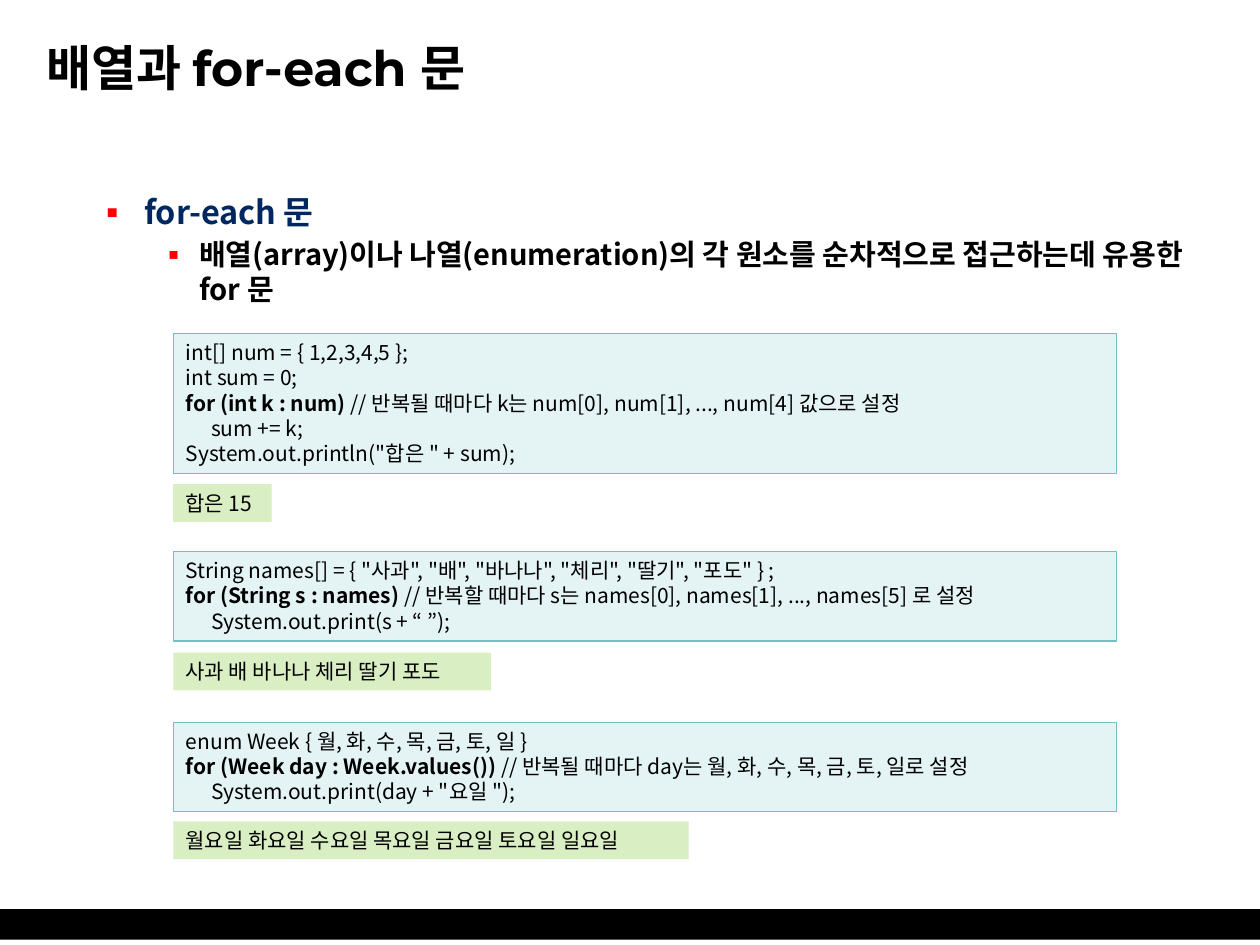
from lxml import etree
from pptx import Presentation
from pptx import util as u
from pptx.dml import color
from pptx.enum import shapes, text
from pptx.oxml import ns

Pt = u.Pt


def rgb(code):
    return color.RGBColor.from_string(code)


def add(parent, tag, **attrs):
    return etree.SubElement(parent, ns.qn(tag), attrs)


class Deck:
    sans = "Noto Sans CJK KR"
    head = "Montserrat"
    ink = "000000"

    def __init__(self, wide, high):
        self.prs = Presentation()
        self.prs.slide_width, self.prs.slide_height = Pt(wide), Pt(high)
        self.slide = self.prs.slides.add_slide(self.prs.slide_layouts[6])

    def style(self, run, size, bold=False, ink=None, face=None):
        font = run.font
        font.size, font.bold = Pt(size), bold
        font.name = face or self.sans
        font.color.rgb = rgb(ink or self.ink)
        add(font._element, "a:ea", typeface=self.sans)

    def box(self, left, top, wide, high, fill, line=None):
        box = self.slide.shapes.add_shape(
            shapes.MSO_SHAPE.RECTANGLE, Pt(left), Pt(top), Pt(wide), Pt(high))
        box.shadow.inherit = False
        box.fill.solid()
        box.fill.fore_color.rgb = rgb(fill)
        if line:
            box.line.color.rgb = rgb(line)
            box.line.width = Pt(0.75)
        else:
            box.line.fill.background()
        return box

    def frame(self, left, top, wide, high):
        frame = self.slide.shapes.add_textbox(
            Pt(left), Pt(top), Pt(wide), Pt(high)).text_frame
        frame.word_wrap = True
        return frame

    def title(self, words, *area):
        frame = self.frame(*area)
        frame.vertical_anchor = text.MSO_ANCHOR.MIDDLE
        frame.text = words
        self.style(frame.paragraphs[0].runs[0], 28, True, face=self.head)

    def points(self, items, *area):
        frame = self.frame(*area)
        frame.text = "\n".join(item[0] for item in items)
        for para, (_, size, ink, left, hang, gap) in zip(frame.paragraphs, items):
            para.line_spacing = Pt(round(size * 1.2, 1))
            para.space_before = Pt(gap)
            props = para._p.get_or_add_pPr()
            props.set("marL", str(Pt(left)))
            props.set("indent", str(Pt(-hang)))
            add(add(props, "a:buClr"), "a:srgbClr", val="FF0000")
            add(props, "a:buFont", typeface=self.sans)
            add(props, "a:buChar", char="▪")
            self.style(para.runs[0], size, True, ink)

    def lines(self, box, rows):
        frame = box.text_frame
        frame.word_wrap = True
        frame.margin_right = 0
        frame.vertical_anchor = text.MSO_ANCHOR.TOP
        frame.text = "\n".join(rows)
        for para, row in zip(frame.paragraphs, rows):
            para.alignment = text.PP_ALIGN.LEFT
            para.line_spacing = Pt(14.4)
            tabs = add(para._p.get_or_add_pPr(), "a:tabLst")
            add(tabs, "a:tab", pos=str(Pt(14.4)), algn="l")
            code, mark, note = row.partition("//")
            if mark:
                para.runs[0].text = code
                para.add_run().text = mark + note
            for run in para.runs:
                self.style(run, 12, run.text.startswith("for"))

    def sample(self, top, rows, out, drop, wide):
        code = self.box(99.2, top, 538.8, 14.4 * len(rows) + 8, "E4F3F4", "72BFC5")
        self.lines(code, rows)
        self.lines(self.box(99, drop, wide, 21.6, "DAEEC4"), [out])


deck = Deck(720, 540)
deck.box(0, 519.6, 720, 17.4, deck.ink)
deck.title("배열과 for-each 문", 19.5, 9.5, 680.5, 57)
deck.points([
    ("for-each 문", 18.5, "002760", 27, 27, 0),
    ("배열(array)이나 나열(enumeration)의 각 원소를 순차적으로 접근하는데 유용한 for 문",
     16.6, deck.ink, 58.5, 22.5, 3.3),
], 48.3, 106, 642, 73.5)

samples = [
    (190.6, ["int[] num = { 1,2,3,4,5 };",
             "int sum = 0;",
             "for (int k : num) // 반복될 때마다 k는 num[0], num[1], ..., num[4] 값으로 설정",
             "\tsum += k;",
             'System.out.println("합은 " + sum);'],
     "합은 15", 276.7, 56.3),
    (315.2, ['String names[] = { "사과", "배", "바나나", "체리", "딸기", "포도" } ;',
             "for (String s : names) // 반복할 때마다 s는 names[0], names[1], ..., names[5] 로 설정",
             "\tSystem.out.print(s + “ ”);"],
     "사과 배 바나나 체리 딸기 포도", 373, 181.5),
    (412.7, ["enum Week { 월, 화, 수, 목, 금, 토, 일 }",
             "for (Week day : Week.values()) // 반복될 때마다 day는 월, 화, 수, 목, 금, 토, 일로 설정 ",
             '\tSystem.out.print(day + "요일 ");'],
     "월요일 화요일 수요일 목요일 금요일 토요일 일요일", 469.4, 294.5),
]
for sample in samples:
    deck.sample(*sample)

deck.prs.save("out.pptx")
